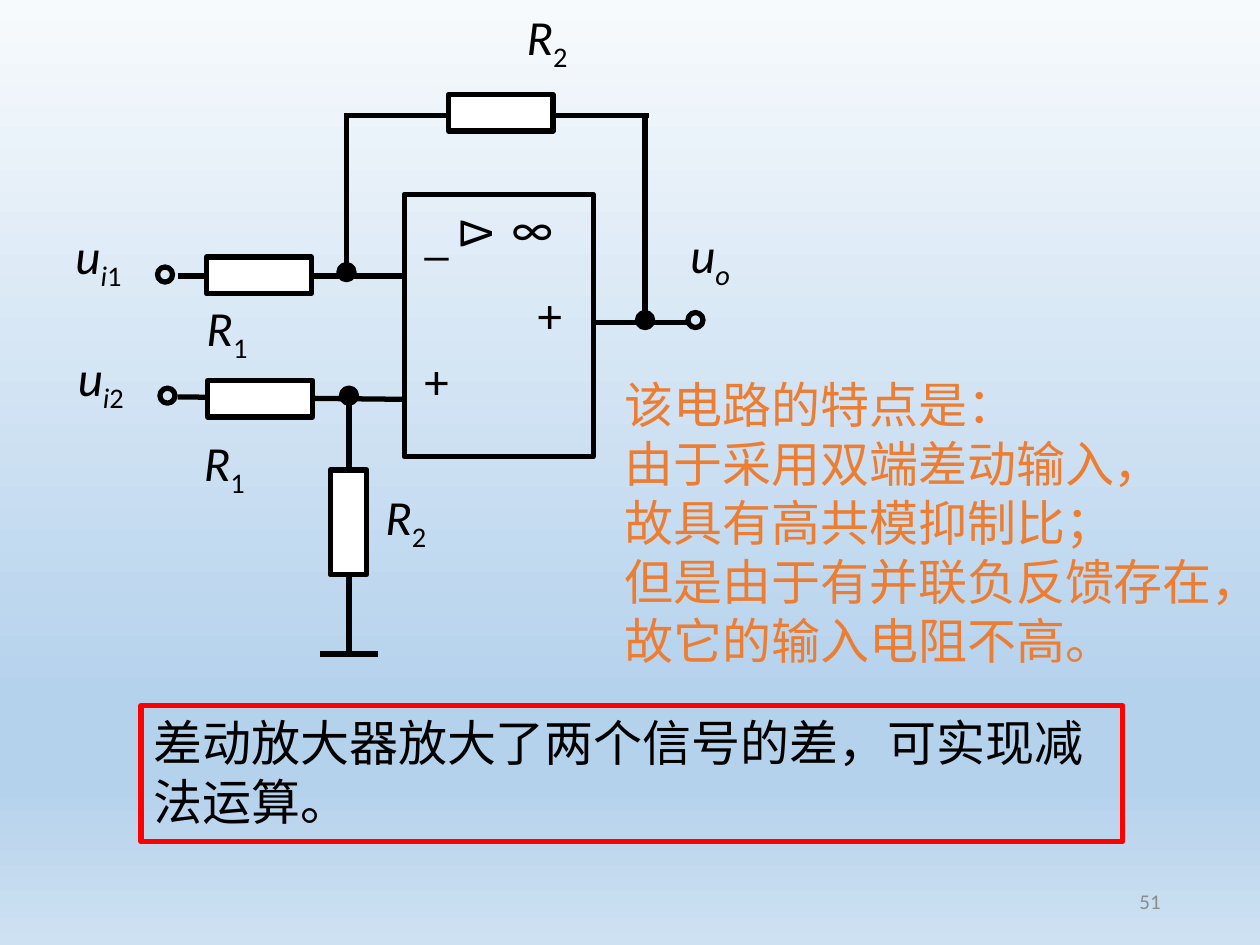
from copy import deepcopy
from dataclasses import dataclass

from lxml import etree
from pptx import Presentation
from pptx.dml.color import RGBColor
from pptx.enum.shapes import MSO_CONNECTOR, MSO_SHAPE
from pptx.enum.text import MSO_ANCHOR, PP_ALIGN
from pptx.oxml.ns import qn
from pptx.util import Pt

RECTANGLE, OVAL = MSO_SHAPE.RECTANGLE, MSO_SHAPE.OVAL
STRAIGHT = MSO_CONNECTOR.STRAIGHT
TOP, MIDDLE = MSO_ANCHOR.TOP, MSO_ANCHOR.MIDDLE
LEFT, RIGHT = PP_ALIGN.LEFT, PP_ALIGN.RIGHT


@dataclass(frozen=True)
class Theme:
    ink: str = "000000"
    paper: str = "FFFFFF"
    accent: str = "ED7D31"
    frame: str = "FF0000"
    muted: str = "8C8C8C"
    backdrop: tuple = ((0, "F7FAFD"), (0.74, "B5D2EC"),
                       (0.83, "B5D2EC"), (1, "CEE1F2"))
    latin: str = "Calibri"
    chinese: str = "Noto Sans CJK SC"
    text_size: float = 28
    number_size: float = 12
    chinese_leading: float = 33.8
    stroke: float = 3


class CircuitSlide:
    resistor_size = (59.8, 20.9)
    dot_size = 8.6
    label_height = 41

    def __init__(self, page, theme):
        self.page = page
        self.theme = theme
        self.circuit = page.shapes.add_group_shape().shapes

    def backdrop(self):
        fill = self.page.background.fill
        fill.gradient()
        fill.gradient_angle = 270
        stop_list = next(self.page.element.iter(qn("a:gsLst")))
        while len(stop_list) < len(self.theme.backdrop):
            stop_list.append(deepcopy(stop_list[0]))
        for stop, (position, color) in zip(fill.gradient_stops, self.theme.backdrop):
            stop.position = position
            stop.color.rgb = RGBColor.from_string(color)

    def outline(self, shape, color):
        shape.line.color.rgb = RGBColor.from_string(color)
        shape.line.width = Pt(self.theme.stroke)

    def box(self, kind, left, top, width, height, fill=None, line=None, parent=None):
        shape = (parent or self.circuit).add_shape(
            kind, Pt(left), Pt(top), Pt(width), Pt(height))
        shape.shadow.inherit = False
        if fill:
            shape.fill.solid()
            shape.fill.fore_color.rgb = RGBColor.from_string(fill)
        else:
            shape.fill.background()
        self.outline(shape, line or self.theme.ink)
        return shape

    def resistor(self, left, top, rotation=0):
        body = self.box(RECTANGLE, left, top, *self.resistor_size, self.theme.paper)
        body.rotation = rotation

    def dot(self, left, top, fill=None):
        self.box(OVAL, left, top, self.dot_size, self.dot_size, fill)

    def wire(self, x1, y1, x2, y2):
        line = self.circuit.add_connector(STRAIGHT, Pt(x1), Pt(y1), Pt(x2), Pt(y2))
        self.outline(line, self.theme.ink)
        etree.SubElement(line._element.spPr, qn("a:effectLst"))

    def style(self, span, color, size=None, font=None):
        span.font.size = Pt(size or self.theme.text_size)
        span.font.color.rgb = RGBColor.from_string(color)
        span.font.name = font or self.theme.latin
        if font:
            etree.SubElement(span._r.get_or_add_rPr(), qn("a:ea"), typeface=font)

    def label(self, left, top, width, text, subscript="", rotation=0):
        """Symbol with optional subscript; letters of a variable are italic."""
        box = self.circuit.add_textbox(
            Pt(left), Pt(top), Pt(width), Pt(self.label_height))
        box.rotation = rotation
        box.text_frame.word_wrap = True
        para = box.text_frame.paragraphs[0]
        para.text = text
        for letter in subscript:
            para.add_run().text = letter
        for index, span in enumerate(para.runs):
            self.style(span, self.theme.ink)
            span.font.italic = bool(subscript) and span.text.isalpha()
            if index:
                span._r.get_or_add_rPr().set("baseline", "-25000")

    def chinese(self, shape, text, color, wrap):
        frame = shape.text_frame
        frame.text = text
        frame.word_wrap = wrap
        frame.vertical_anchor = TOP
        for para in frame.paragraphs:
            para.alignment = LEFT
            para.line_spacing = Pt(self.theme.chinese_leading)
            for span in para.runs:
                self.style(span, color, font=self.theme.chinese)

    def features(self, left, top, width, height, lines):
        box = self.page.shapes.add_textbox(Pt(left), Pt(top), Pt(width), Pt(height))
        self.chinese(box, "\n".join(lines), self.theme.accent, False)

    def conclusion(self, left, top, width, height, text):
        box = self.box(RECTANGLE, left, top, width, height,
                       line=self.theme.frame, parent=self.page.shapes)
        self.chinese(box, text, self.theme.ink, True)

    def page_number(self, left, top, width, height, text):
        box = self.page.shapes.add_textbox(Pt(left), Pt(top), Pt(width), Pt(height))
        frame = box.text_frame
        frame.text = text
        frame.word_wrap = True
        frame.vertical_anchor = MIDDLE
        para = frame.paragraphs[0]
        para.alignment = RIGHT
        self.style(para.runs[0], self.theme.muted, self.theme.number_size)


def main():
    deck = Presentation()
    deck.slide_width, deck.slide_height = Pt(720), Pt(540)
    theme = Theme()
    slide = CircuitSlide(deck.slides.add_slide(deck.slide_layouts[6]), theme)
    slide.backdrop()

    # Amplifier body
    slide.box(RECTANGLE, 231, 111, 108, 150)

    # Wires: output, inputs, feedback loop, ground branch
    for ends in (
        (339, 184.3, 393, 184.3),
        (101.5, 226.8, 231, 228.2),
        (101.5, 157.7, 195, 157.7), (178.6, 157.7, 232.5, 157.7),
        (196.6, 66.2, 370.8, 66.2),
        (368.6, 66.2, 368.6, 185.8), (198, 66.2, 198, 158.4),
        (199.4, 226.8, 199.4, 375), (183, 373.7, 216, 373.7),
    ):
        slide.wire(*ends)

    # Resistors: feedback, upper input, lower input, to ground
    slide.resistor(256.3, 54)
    slide.resistor(118.1, 146.9)
    slide.resistor(118.8, 217.4)
    slide.resistor(169.2, 288, rotation=90)

    # Open terminals and solid junctions
    for left, top in ((393.1, 178.6), (91.4, 221.8), (90, 152.6)):
        slide.dot(left, top)
    for left, top in ((193.7, 151.2), (364.3, 178.6), (195.1, 221.8)):
        slide.dot(left, top, theme.ink)

    # Amplifier symbols
    slide.label(235.4, 113.8, 31.7, "_")
    slide.label(235.4, 196.6, 31.7, "+")
    slide.label(300.2, 159.1, 31.7, "+")
    slide.label(252.7, 120.2, 43.2, "Δ", rotation=90)
    slide.label(285.1, 109.4, 88.6, "∞")

    # Resistor and voltage names
    for left, top, subscript in ((293.8, 0, "2"), (110.9, 166.3, "1"),
                                 (109.4, 243.4, "1"), (213.1, 274.3, "2")):
        slide.label(left, top, 66.2, "R", subscript)
    for left, top, subscript in ((36, 125.3, "i1"), (37.4, 195.1, "i2"),
                                 (387.4, 124.6, "o")):
        slide.label(left, top, 103.7, "u", subscript)

    # Explanations and page number
    slide.conclusion(80.6, 403.2, 560.9, 77.8,
                     "差动放大器放大了两个信号的差，可实现减法运算。")
    slide.features(349.9, 210.2, 381.6, 175.7, (
        "该电路的特点是：",
        "由于采用双端差动输入，",
        "故具有高共模抑制比；",
        "但是由于有并联负反馈存在，",
        "故它的输入电阻不高。",
    ))
    slide.page_number(508.3, 500.4, 162, 28.8, "51")

    deck.save("out.pptx")


if __name__ == "__main__":
    main()
